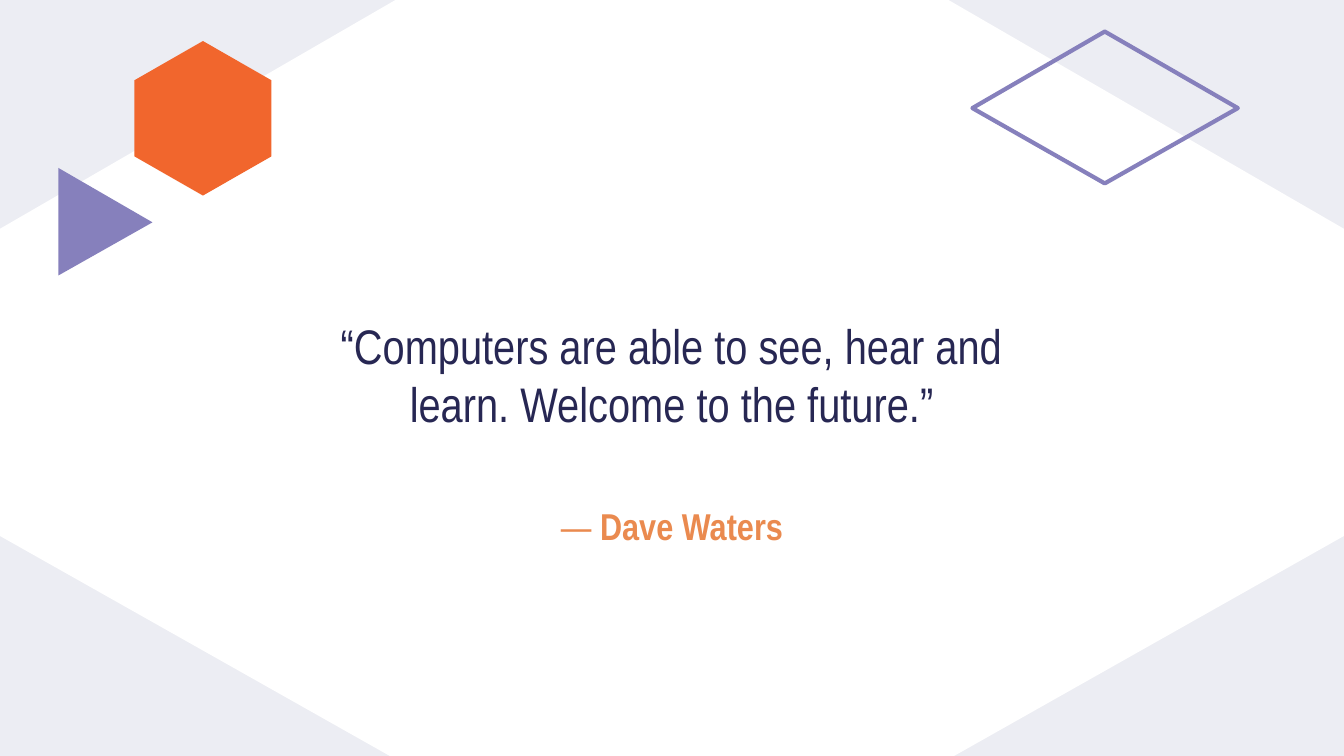
"""Build a quote slide framed by geometric ornaments."""
from dataclasses import dataclass

from lxml import etree
from pptx import Presentation
from pptx import util as u
from pptx.dml.color import RGBColor
from pptx.enum import shapes, text
from pptx.oxml.ns import qn

PX = 4572
FONT = "Arial Narrow"
COLORS = {
    "backdrop": "ECEDF3",
    "panel": "FFFFFF",
    "quote": "272753",
    "author": "EA8A4F",
    "violet": "8680BC",
    "orange": "F1662D",
}


@dataclass(frozen=True)
class Polygon:
    points: tuple[tuple[int, int], ...]
    fill: str | None = None
    outline: str | None = None


@dataclass(frozen=True)
class Passage:
    box: tuple[int, int, int, int]
    runs: tuple[tuple[str, bool], ...]
    size: int
    color: str
    anchor: text.MSO_ANCHOR
    space_after: int = 0


PANEL = Polygon(((1000, -238), (-400, 572), (1000, 1362), (2400, 572)), fill="panel")
ORNAMENTS = (
    Polygon(((87, 250), (227, 331), (87, 410)), fill="violet"),
    Polygon(((1644, 47), (1842, 161), (1644, 273), (1447, 161)), outline="violet"),
)
AUTHOR = Passage((716, 728, 568, 92), (("— ", False), ("Dave Waters", True)),
                 20, "author", text.MSO_ANCHOR.TOP)
QUOTE = Passage(
    (477, 411, 1046, 292),
    (("“Computers are able to see, hear and learn. Welcome to the future.”", False),),
    26, "quote", text.MSO_ANCHOR.MIDDLE, space_after=16)


def rgb(name: str) -> RGBColor:
    return RGBColor.from_string(COLORS[name])


def paint(figure, fill: str | None, outline: str | None = None) -> None:
    figure.shadow.inherit = False
    if fill:
        figure.fill.solid()
        figure.fill.fore_color.rgb = rgb(fill)
    else:
        figure.fill.background()
    if outline:
        figure.line.color.rgb = rgb(outline)
        figure.line.width = u.Pt(2.25)
        etree.SubElement(figure.line._get_or_add_ln(), qn("a:round"))
    else:
        figure.line.fill.background()


def draw_polygon(slide, polygon: Polygon):
    start, *rest = polygon.points
    builder = slide.shapes.build_freeform(*start, scale=PX)
    builder.add_line_segments(rest, close=True)
    figure = builder.convert_to_shape()
    paint(figure, polygon.fill, polygon.outline)
    return figure


def draw_hexagon(slide) -> None:
    hexagon = slide.shapes.add_shape(
        shapes.MSO_SHAPE.HEXAGON, *(PX * side for side in (187, 74, 230, 204)))
    hexagon.adjustments[0] = 0.286
    hexagon.rotation = 270
    paint(hexagon, "orange")


def write_passage(holder, passage: Passage) -> None:
    holder.left, holder.top, holder.width, holder.height = (PX * side for side in passage.box)
    frame = holder.text_frame
    frame.word_wrap = True
    frame.auto_size = text.MSO_AUTO_SIZE.NONE
    frame.vertical_anchor = passage.anchor
    frame.margin_left = frame.margin_right = frame.margin_top = frame.margin_bottom = 20 * PX
    paragraph = frame.paragraphs[0]
    paragraph.alignment = text.PP_ALIGN.CENTER
    paragraph.space_before = u.Pt(0)
    paragraph.space_after = u.Pt(passage.space_after)
    for words, bold in passage.runs:
        run = paragraph.add_run()
        run.text = words
        run.font.name = FONT
        run.font.size = u.Pt(passage.size)
        run.font.bold = bold
        run.font.color.rgb = rgb(passage.color)


def main() -> None:
    deck = Presentation()
    deck.slide_width, deck.slide_height = 2000 * PX, 1125 * PX
    slide = deck.slides.add_slide(deck.slide_layouts[0])
    slide.background.fill.solid()
    slide.background.fill.fore_color.rgb = rgb("backdrop")
    panel = draw_polygon(slide, PANEL)
    slide.shapes.title._element.addprevious(panel._element)
    write_passage(slide.shapes.title, AUTHOR)
    write_passage(slide.placeholders[1], QUOTE)
    for ornament in ORNAMENTS:
        draw_polygon(slide, ornament)
    draw_hexagon(slide)
    deck.save("out.pptx")


if __name__ == "__main__":
    main()
